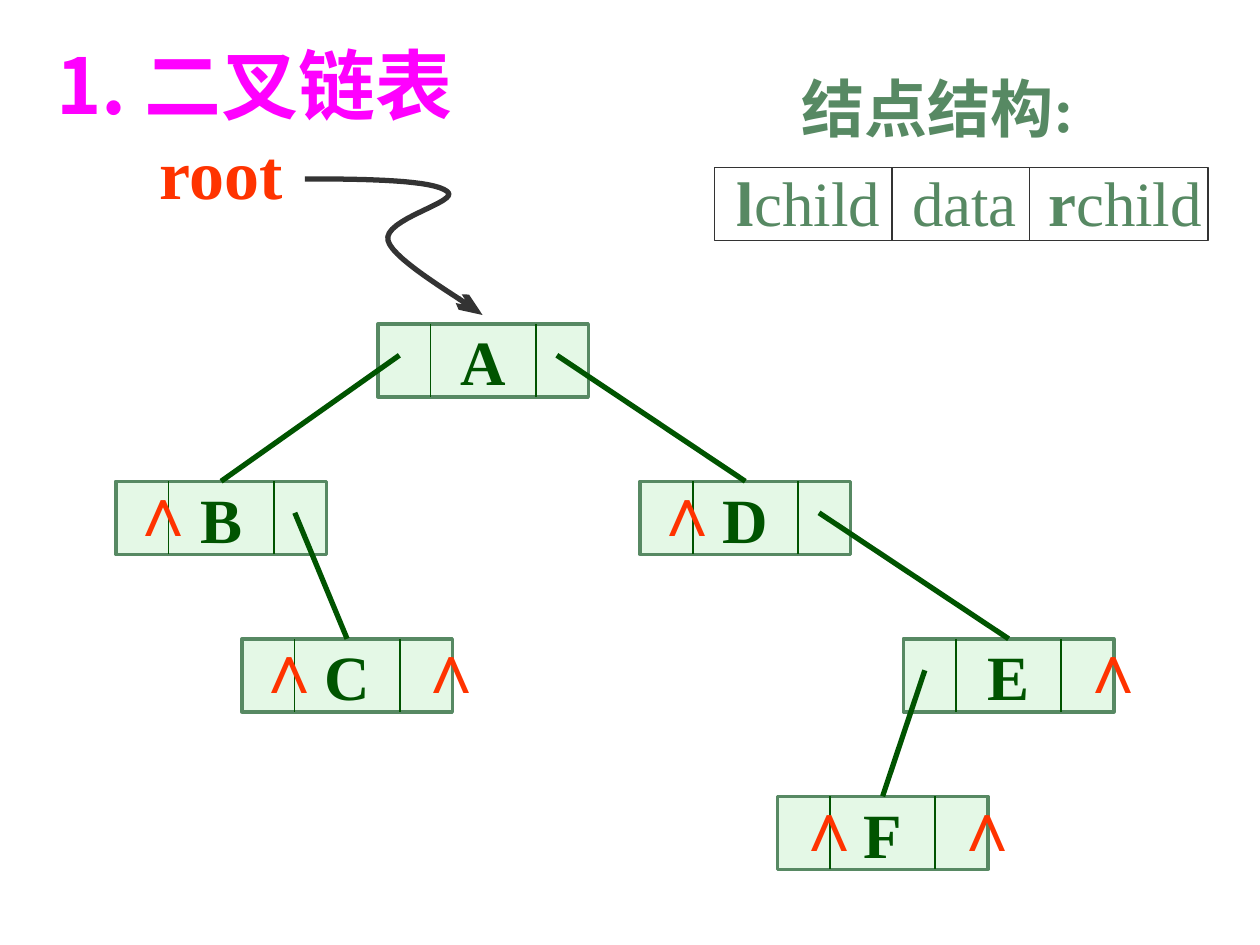
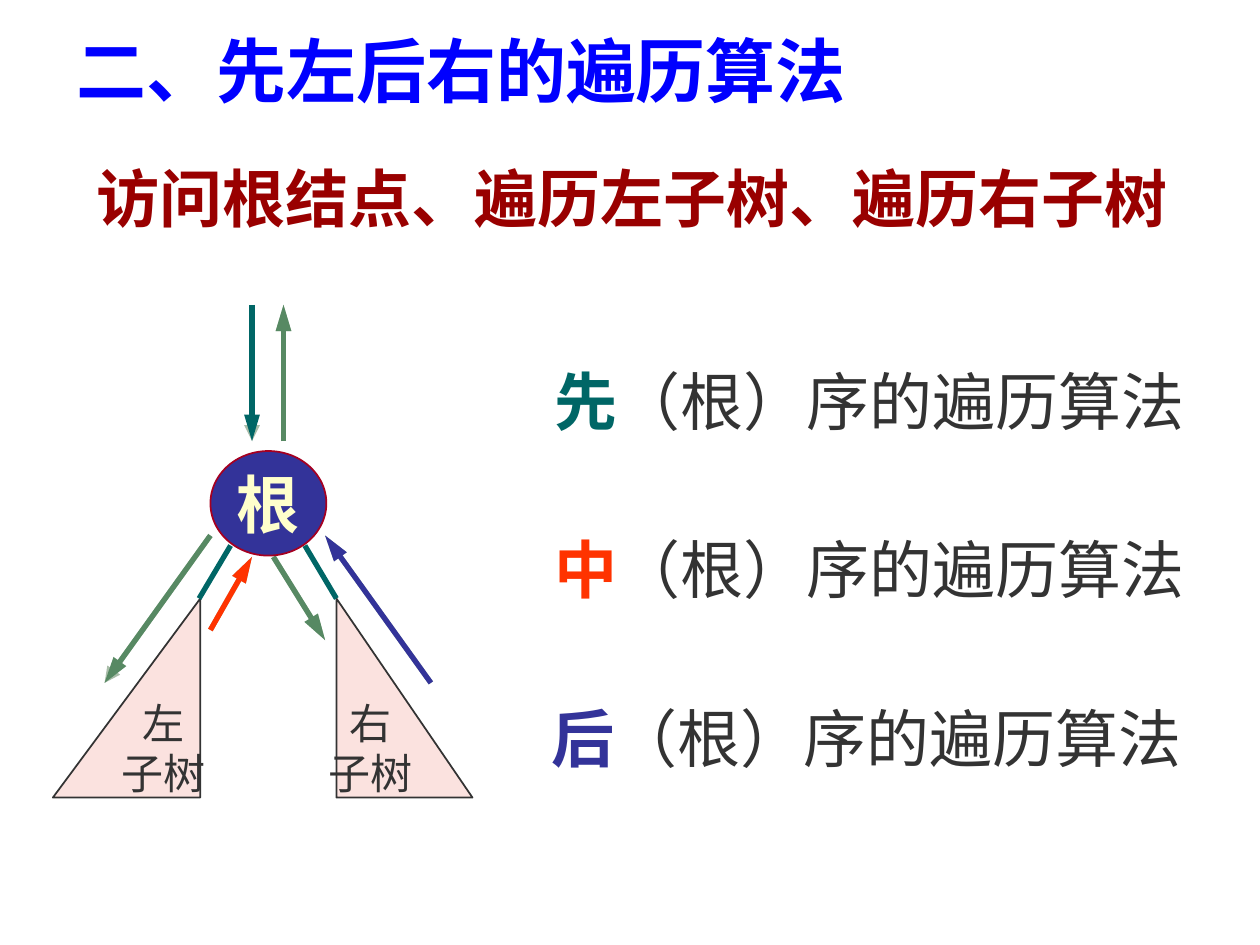
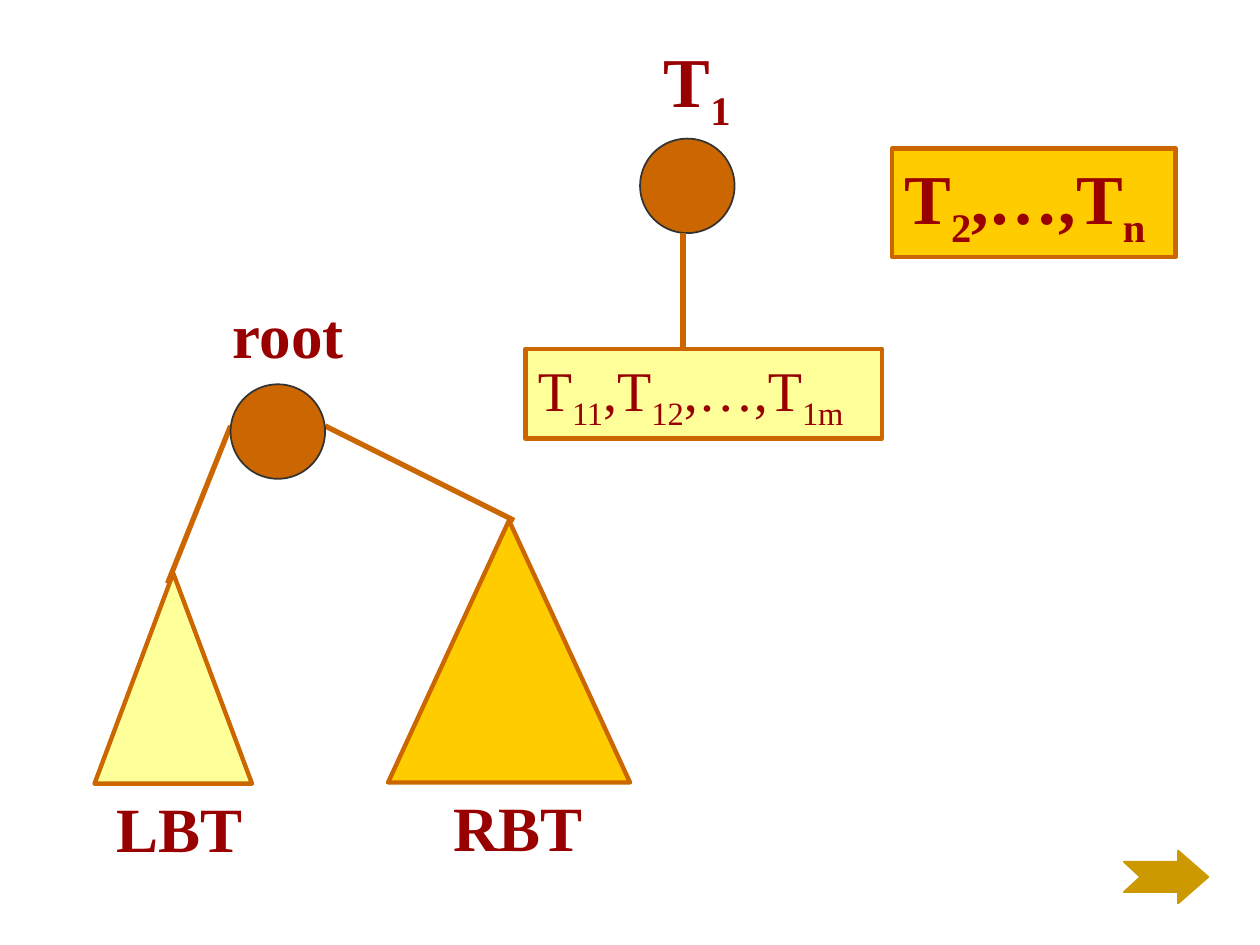
from lxml.etree import SubElement as Sub
from pptx import Presentation
from pptx.dml.color import RGBColor as RGB
from pptx.enum.shapes import MSO_CONNECTOR as Conn, MSO_SHAPE as Kind
from pptx.enum.text import MSO_ANCHOR as Anchor, MSO_AUTO_SIZE as Auto, PP_ALIGN as Align
from pptx.oxml.ns import qn
from pptx.util import Inches, Pt

SERIF, SANS, HAN = "Times New Roman", "Arial", "Noto Sans CJK SC"
INK = RGB(0x33, 0x33, 0x33)
PINE = RGB(0x00, 0x54, 0x00)
SAGE = RGB(0x57, 0x89, 0x63)
MINT = RGB(0xCA, 0xF2, 0xCE)
MIST = RGB(0xA9, 0xBD, 0xA9)
RED = RGB(0xFF, 0x33, 0x00)
PINK = RGB(0xFF, 0x00, 0xFF)
BLUE = RGB(0x00, 0x00, 0xFF)
NAVY = RGB(0x33, 0x33, 0x99)
TEAL = RGB(0x00, 0x66, 0x66)
WINE = RGB(0x99, 0x00, 0x00)
RUBY = RGB(0xA5, 0x00, 0x21)
ROSE = RGB(0xFB, 0xE2, 0xDF)
CREAM = RGB(0xFF, 0xFF, 0xCC)
LEMON = RGB(0xFF, 0xFF, 0x99)
GOLD = RGB(0xFF, 0xCC, 0x00)
RUST = RGB(0xCC, 0x66, 0x00)
OCHRE = RGB(0xCC, 0x99, 0x00)
SUB = {"base": -25000}


def write(shape, text, size, color, bold=True, font=SERIF, align=Align.LEFT,
          wrap=False, grow=True, stops=()):
    """Fill a shape with text: a string, or a list of (text, style) runs."""
    frame = shape.text_frame
    frame.word_wrap = wrap
    frame.auto_size = Auto.SHAPE_TO_FIT_TEXT if grow else Auto.NONE
    frame.vertical_anchor = Anchor.TOP if grow else Anchor.MIDDLE
    if isinstance(text, str):
        frame.text = text
    else:
        for words, style in text:
            run = frame.paragraphs[0].add_run()
            run.text = words
            if "bold" in style:
                run.font.bold = style["bold"]
            if "color" in style:
                run.font.color.rgb = style["color"]
            if "base" in style:
                run._r.get_or_add_rPr().set("baseline", str(style["base"]))
    for par in frame.paragraphs:
        par.alignment = align
        if stops:
            tabs = Sub(par._p.get_or_add_pPr(), qn("a:tabLst"))
            for stop in stops:
                Sub(tabs, qn("a:tab"), pos=str(Inches(stop)), algn="l")
        face = par.font
        face.name, face.size, face.bold = font, Pt(size), bold
        face.color.rgb = color
        Sub(face._element, qn("a:ea"), typeface=HAN)
    return frame.paragraphs[0]


def label(slide, box, text, size, color, **style):
    return write(slide.shapes.add_textbox(*map(Inches, box)), text, size, color, **style)


def paint(shape, fill, color, width):
    shape.shadow.inherit = False
    if fill is None:
        shape.fill.background()
    else:
        shape.fill.solid()
        shape.fill.fore_color.rgb = fill
    shape.line.color.rgb = color
    shape.line.width = Pt(width)
    return shape


def block(slide, kind, box, fill, color, width):
    return paint(slide.shapes.add_shape(kind, *map(Inches, box)), fill, color, width)


def tip(line, kind, length="lg"):
    Sub(line._get_or_add_ln(), qn("a:tailEnd"), type=kind, w="med", len=length)


def stroke(slide, start, end, color, width=3):
    line = slide.shapes.add_connector(Conn.STRAIGHT, *map(Inches, (*start, *end)))
    line.line.color.rgb = color
    line.line.width = Pt(width)
    Sub(line._element.spPr, qn("a:effectLst"))
    return line


def outline(slide, points, closed):
    points = [(Inches(x), Inches(y)) for x, y in points]
    pen = slide.shapes.build_freeform(*points[0], scale=1.0)
    pen.add_line_segments(points[1:], close=closed)
    return pen.convert_to_shape()


def bezier(a, b, c, d, steps=16):
    for i in range(1, steps + 1):
        t = i / steps
        u = 1 - t
        yield tuple(u**3 * p + 3 * u * u * t * q + 3 * u * t * t * r + t**3 * s
                    for p, q, r, s in zip(a, b, c, d))


# Linked list slide

NODE_W, NODE_H = 1.67, 0.58
LEFT, RIGHT = 0.17, 1.42
NODES = {  # place, then offsets of the empty-link marks
    "A": (3, 2.57, []),
    "D": (5.08, 3.82, [0]),
    "E": (7.17, 5.07, [1.29]),
    "B": (0.92, 3.82, [0]),
    "C": (1.92, 5.07, [0, 1.29]),
    "F": (6.17, 6.32, [0.04, 1.29]),
}
LINKS = [("A", LEFT, "B"), ("A", RIGHT, "D"), ("B", RIGHT, "C"),
         ("D", RIGHT, "E"), ("E", LEFT, "F")]


def split(slide, x, y, h, offsets, color):
    """Draw upright dividers inside a box."""
    for dx in offsets:
        stroke(slide, (x + dx, y), (x + dx, y + h), color, 1)


def node(slide, name, x, y, marks):
    body = block(slide, Kind.RECTANGLE, (x, y, NODE_W, NODE_H), MINT, SAGE, 2)
    tint = body._element.spPr.find(qn("a:solidFill"))[0]
    Sub(tint, qn("a:alpha"), val="50000")
    write(body, name, 36, PINE, align=Align.CENTER, grow=False)
    split(slide, x, y, NODE_H, (NODE_W / 4, NODE_W * 3 / 4), PINE)
    for dx in marks:
        label(slide, (x + dx, y - 0.17, 0.38, 0.77), "∧", 40, RED, font=SANS)
    return body


def tree(slide):
    bodies = {name: node(slide, name, *data) for name, data in NODES.items()}
    for top, dx, low in LINKS:
        x, y, _ = NODES[top]
        cx, cy, _ = NODES[low]
        edge = stroke(slide, (x + dx, y + 0.25), (cx + NODE_W / 2, cy), PINE)
        edge.end_connect(bodies[low], 0)


def pointer(slide, x, y):
    """Draw the root label and its curved arrow."""
    knots = [(0, 0), (0.51, 0), (1.02, 0.01), (1.13, 0.1), (1.24, 0.18),
             (0.61, 0.32), (0.66, 0.49), (0.7, 0.65), (1.29, 0.98), (1.41, 1.08)]
    knots = [(x + 1.25 + dx, y + 0.44 + dy) for dx, dy in knots]
    points = knots[:1]
    for i in range(0, len(knots) - 1, 3):
        points += bezier(*knots[i:i + 4])
    curve = paint(outline(slide, points, False), None, INK, 3)
    tip(curve.line, "arrow")
    label(slide, (x, y, 1.18, 0.77), "root", 40, RED)


def record(slide, x, y, w, h):
    """Draw the layout of one node with its heading."""
    strong = {"bold": True}
    fields = [("l", strong), ("child\tdata\t", {}), ("r", strong), ("child", {})]
    label(slide, (x + 0.08, y - 0.08, w - 0.03, 0.7), fields, 36, SAGE,
          bold=False, stops=(1.39, 2.47))
    block(slide, Kind.RECTANGLE, (x, y, w, h), None, INK, 1)
    split(slide, x, y, h, (1.41, 2.5), INK)
    label(slide, (x + 0.59, y - 0.83, 2.48, 0.7), "结点结构:", 36, SAGE)


def list_slide(slide):
    tree(slide)
    pointer(slide, 1.17, 0.98)
    record(slide, 5.67, 1.33, 3.92, 0.58)
    title = label(slide, (0.35, 0.1, 3.71, 0.98), "1. 二叉链表", 44, PINK, font=HAN)
    title.line_spacing = 1.2


# Traversal slide

ARROWS = [  # start, end, colour, length of the shadow's head
    ((0.33, 0), (0.33, 1.08), TEAL, "med"),
    ((0, 1.83), (-0.84, 3), SAGE, "med"),
    ((1.75, 3), (0.91, 1.83), NAVY, "lg"),
    ((0, 2.58), (0.33, 2), RED, "lg"),
    ((0.5, 2), (0.91, 2.66), SAGE, "lg"),
    ((0.58, 1.08), (0.58, 0), SAGE, "lg"),
]
ORDERS = [("先", TEAL, 0.02), ("中", RED, 0.02), ("后", NAVY, 0)]


def wedge(slide, box, apex, text):
    shape = block(slide, Kind.ISOSCELES_TRIANGLE, box, ROSE, INK, 1)
    shape.adjustments[0] = apex
    write(shape, text, 24, INK, bold=False, align=Align.CENTER, grow=False)


def walk(slide, x, y):
    """Draw the root, its two subtrees and the walk around them."""
    def arrow(start, end, color, length):
        start, end = [(x + dx, y + dy) for dx, dy in (start, end)]
        tip(stroke(slide, start, end, color).line, "triangle", length)

    for start, end, _, length in ARROWS:
        arrow(start, end, MIST, length)
    wedge(slide, (x - 1.25, y + 2.33, 1.17, 1.58), 1, "左\n子树")
    wedge(slide, (x + 1, y + 2.33, 1.08, 1.58), 0, "右\n子树")
    for near, far in ((0.16, -0.09), (0.75, 1)):
        stroke(slide, (x + near, y + 1.91), (x + far, y + 2.33), TEAL)
    for start, end, color, _ in ARROWS:
        arrow(start, end, color, "lg")
    root = block(slide, Kind.OVAL, (x, y + 1.16, 0.92, 0.83), NAVY, RUBY, 1)
    write(root, "根", 36, CREAM, align=Align.CENTER, grow=False)


def orders(slide, x, y, step):
    for i, (word, color, dx) in enumerate(ORDERS):
        runs = [(word, {"bold": True, "color": color}), ("（根）序的遍历算法", {})]
        label(slide, (x + dx, y + i * step, 5.3, 0.7), runs, 36, INK, bold=False)


def walk_slide(slide):
    label(slide, (0.51, 0.17, 7, 0.77), "二、先左后右的遍历算法", 40, BLUE)
    label(slide, (0.67, 1.22, 8.83, 0.7), "访问根结点、遍历左子树、遍历右子树",
          36, WINE, wrap=True)
    walk(slide, 1.67, 2.42)
    orders(slide, 4.28, 2.83, 1.335)


# Forest slide

def disc(slide, x, y):
    block(slide, Kind.OVAL, (x, y, 0.75, 0.75), RUST, INK, 1)


def plate(slide, box, fill, runs, size, bold):
    shape = block(slide, Kind.RECTANGLE, box, fill, RUST, 2.5)
    write(shape, runs, size, WINE, bold=bold, wrap=True)


def forest(slide, x, y):
    """Draw the first tree with its children, and the other trees."""
    label(slide, (x + 1, y, 0.92, 0.86), [("T", {}), ("1", SUB)], 40, WINE, wrap=True)
    disc(slide, x + 0.91, y + 0.85)
    stroke(slide, (x + 1.25, y + 1.6), (x + 1.25, y + 2.52), RUST)
    plate(slide, (x, y + 2.52, 2.83, 0.71), LEMON,
          [("T", {}), ("11", SUB), (",T", {}), ("12", SUB), (",…,T", {}), ("1m", SUB)],
          32, False)
    plate(slide, (x + 2.91, y + 0.93, 2.25, 0.86), GOLD,
          [("T", {}), ("2", SUB), (",…,T", {}), ("n", SUB)], 40, True)


def branch(slide, box, fill, name, dx):
    x, y, _, h = box
    block(slide, Kind.ISOSCELES_TRIANGLE, box, fill, RUST, 2.5)
    label(slide, (x + dx, y + h, 1.5, 0.7), name, 36, WINE, wrap=True)


def binary(slide, x, y):
    """Draw the binary tree below its root label."""
    for start, end in (((1.08, 1.08), (0.58, 2.33)), ((1.83, 1.08), (3.33, 1.83))):
        stroke(slide, (x + start[0], y + start[1]), (x + end[0], y + end[1]), RUST)
    branch(slide, (x, y + 2.25, 1.25, 1.67), LEMON, "LBT", 0.08)
    branch(slide, (x + 2.33, y + 1.83, 1.92, 2.08), GOLD, "RBT", 0.42)
    disc(slide, x + 1.08, y + 0.75)
    label(slide, (x + 1, y, 1.17, 0.7), "root", 36, WINE, wrap=True)


def onward(slide, x, y):
    points = [(0, 0.09), (0.43, 0.09), (0.43, 0), (0.67, 0.21),
              (0.43, 0.42), (0.43, 0.33), (0, 0.33), (0.13, 0.21)]
    mark = outline(slide, [(x + dx, y + dy) for dx, dy in points], True)
    paint(mark, OCHRE, OCHRE, 1)


def forest_slide(slide):
    forest(slide, 4.17, 0.25)
    binary(slide, 0.75, 2.3)
    onward(slide, 8.92, 6.75)


def main():
    deck = Presentation()
    deck.slide_width, deck.slide_height = Inches(10), Inches(7.5)
    for draw in (list_slide, walk_slide, forest_slide):
        draw(deck.slides.add_slide(deck.slide_layouts[6]))
    deck.save("out.pptx")


if __name__ == "__main__":
    main()
